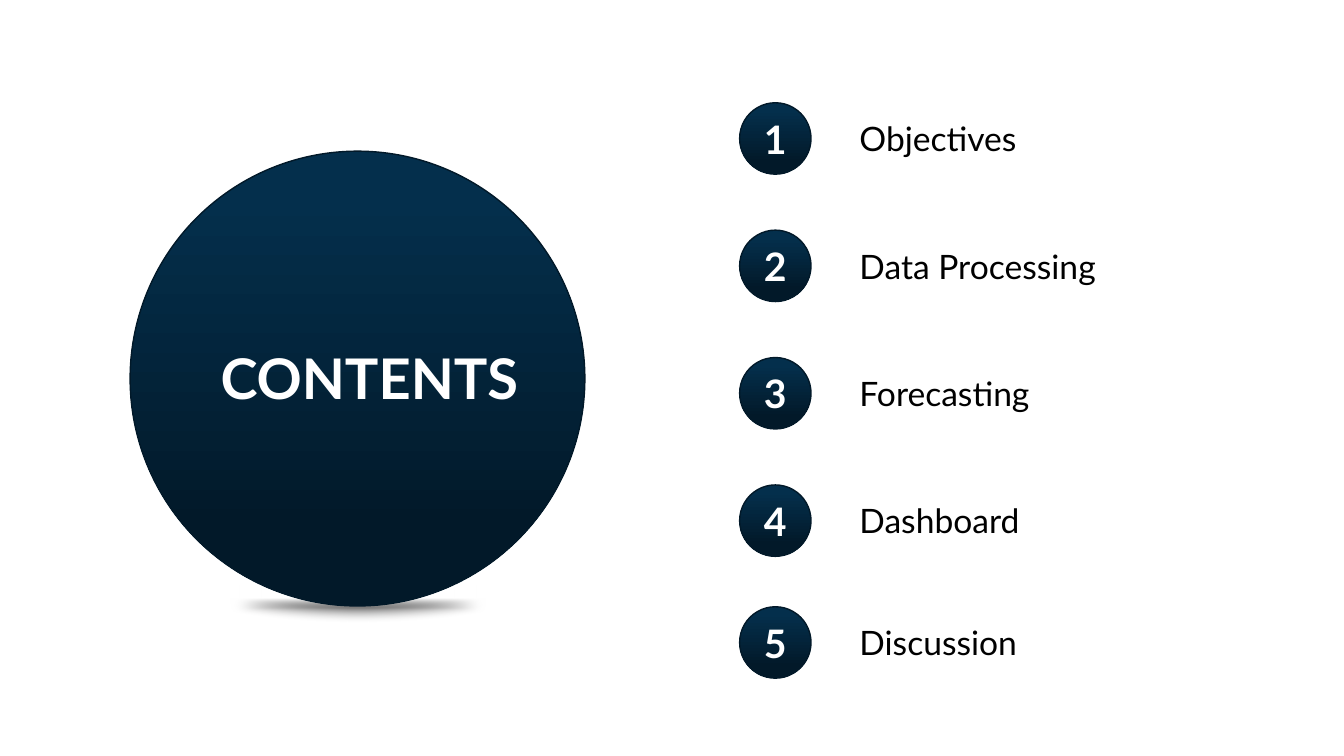
from dataclasses import dataclass

from lxml.etree import SubElement
from pptx import Presentation
from pptx.dml.color import RGBColor as RGB
from pptx.enum.shapes import MSO_SHAPE as SHAPE
from pptx.enum.text import MSO_ANCHOR as ANCHOR, MSO_AUTO_SIZE as AUTO, PP_ALIGN as ALIGN
from pptx.oxml.ns import qn
from pptx.util import Cm, Pt


@dataclass(frozen=True)
class Theme:
    """Colours, gradients, font and type sizes of the deck."""
    font: str = "Lato"
    white: str = "FFFFFF"
    black: str = "000000"
    edge: str = "021929"
    navy: tuple = ((0.10, "042F4C"), (0.83, "021929"))
    shade: tuple = ((0.48, "FFFFFF"), (0.69, "181717"))
    title: int = 40
    number: int = 28
    label: int = 24


def write(tf, text, size, color, font, bold=False, align=ALIGN.LEFT, anchor=ANCHOR.TOP):
    """Put one formatted line of text into a text frame."""
    tf.word_wrap = True
    tf.vertical_anchor = anchor
    p = tf.paragraphs[0]
    p.alignment = align
    r = p.add_run()
    r.text = text
    r.font.name = font
    r.font.size = Pt(size)
    r.font.bold = bold
    r.font.color.rgb = RGB.from_string(color)


class Deck:
    """Holds the theme and the current slide, and draws on it."""

    def __init__(self, prs, theme):
        self.theme = theme
        self.s = prs.slides.add_slide(prs.slide_layouts[6])

    def ellipse(self, shapes, x, y, w, h, stops):
        """Add an ellipse with a downward gradient and no line."""
        sp = shapes.add_shape(SHAPE.OVAL, Cm(x), Cm(y), Cm(w), Cm(h))
        sp.shadow.inherit = False
        sp.fill.gradient()
        sp.fill.gradient_angle = 270
        for stop, (position, color) in zip(sp.fill.gradient_stops, stops):
            stop.position = position
            stop.color.rgb = RGB.from_string(color)
        sp.line.fill.background()
        return sp

    def disc(self, shapes, x, y, size):
        """Add an outlined navy circle."""
        sp = self.ellipse(shapes, x, y, size, size, self.theme.navy)
        sp.line.color.rgb = RGB.from_string(self.theme.edge)
        sp.line.width = Pt(1)
        return sp

    def floor_shadow(self, x, y, w, h, blur):
        """Add a flat ellipse with soft edges."""
        sp = self.ellipse(self.s.shapes, x, y, w, h, self.theme.shade)
        effects = sp._element.spPr.find(qn("a:effectLst"))
        SubElement(effects, qn("a:softEdge"), rad=str(Pt(blur)))

    def text(self, shapes, x, y, w, h, text, **fmt):
        """Add a text box that grows with its text."""
        tf = shapes.add_textbox(Cm(x), Cm(y), Cm(w), Cm(h)).text_frame
        write(tf, text, font=self.theme.font, **fmt)
        tf.auto_size = AUTO.SHAPE_TO_FIT_TEXT

    def item(self, number, label, y, w):
        """Add a grouped number badge and its label."""
        t = self.theme
        shapes = self.s.shapes.add_group_shape().shapes
        badge = self.disc(shapes, 18.64, y, 1.8)
        write(badge.text_frame, str(number), t.number, t.white, t.font, bold=True,
              align=ALIGN.CENTER, anchor=ANCHOR.MIDDLE)
        self.text(shapes, 21.41, y + 0.26, w, 1.27, label, size=t.label, color=t.black)


def main():
    """Build the contents slide."""
    prs = Presentation()
    prs.slide_width, prs.slide_height = Cm(33.87), Cm(19.05)
    theme = Theme()
    deck = Deck(prs, theme)
    deck.floor_shadow(4.98, 14.5, 8.1, 1.19, blur=10)
    deck.disc(deck.s.shapes, 3.28, 3.81, 11.46)
    deck.text(deck.s.shapes, 5.31, 8.53, 8.23, 1.96, "CONTENTS",
              size=theme.title, color=theme.white, bold=True)
    items = (
        ("Objectives", 2.59, 6.17),
        ("Data Processing", 5.8, 10.31),
        ("Forecasting", 9.01, 4.98),
        ("Dashboard", 12.22, 4.98),
        ("Discussion", 15.29, 4.98),
    )
    for number, (label, y, w) in enumerate(items, 1):
        deck.item(number, label, y, w)
    prs.save("out.pptx")


if __name__ == "__main__":
    main()
